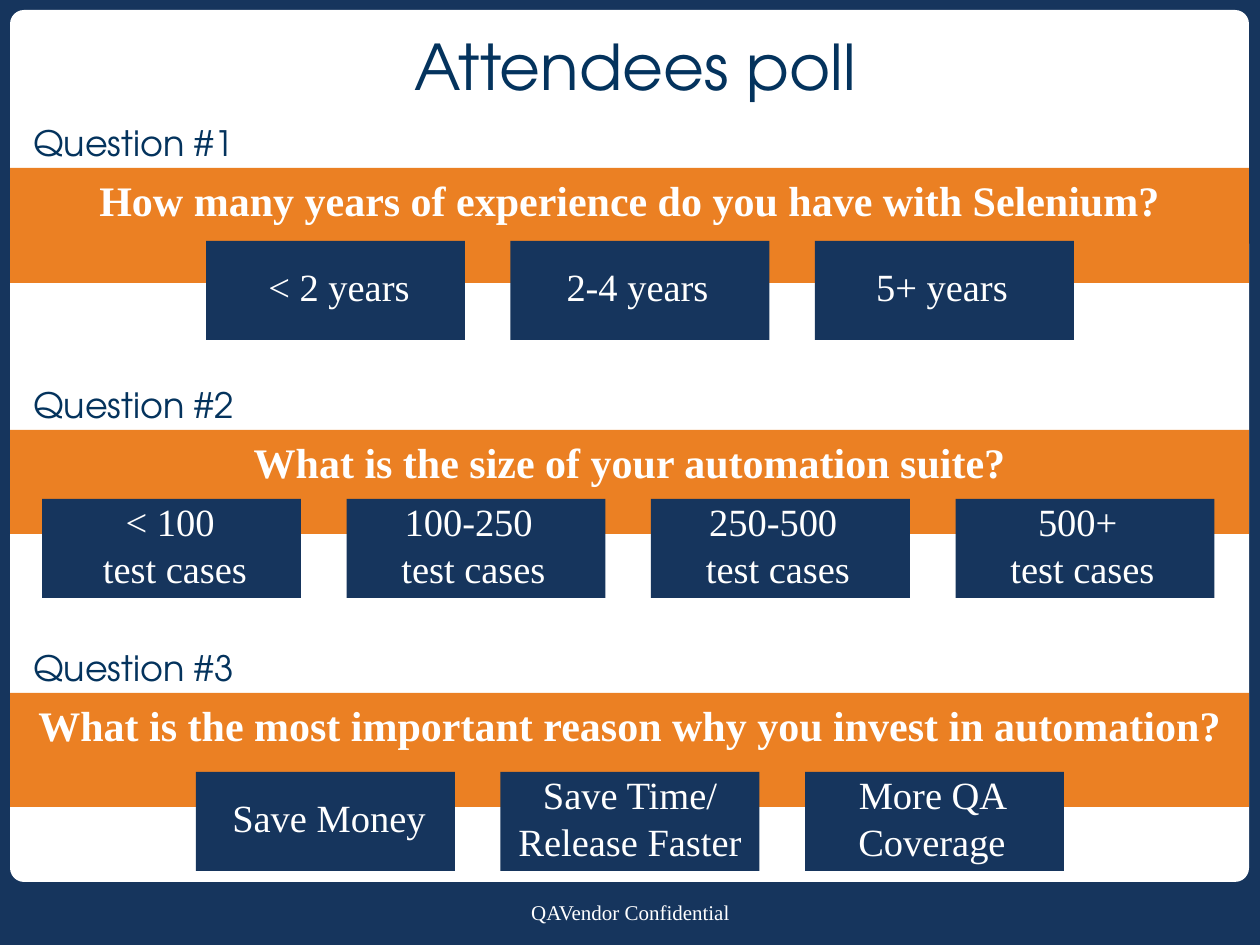
"""Build the attendees poll slide with three questions and their answer cards."""
from pptx import Presentation
from pptx.dml.color import RGBColor
from pptx.enum.shapes import MSO_SHAPE
from pptx.enum.text import MSO_ANCHOR, MSO_AUTO_SIZE, PP_ALIGN
from pptx.util import Emu, Pt

EMU_PER_PX = 914400 / 126
RECTANGLE, ROUNDED = MSO_SHAPE.RECTANGLE, MSO_SHAPE.ROUNDED_RECTANGLE
TOP, MIDDLE = MSO_ANCHOR.TOP, MSO_ANCHOR.MIDDLE
LEFT, CENTER = PP_ALIGN.LEFT, PP_ALIGN.CENTER
FIXED_SIZE = MSO_AUTO_SIZE.NONE
TITLE_ONLY = 5

COLORS = {"navy": "16355D", "ink": "04335D", "orange": "EB8023", "white": "FFFFFF"}
SANS, SERIF = "TeX Gyre Adventor", "Times New Roman"

PANEL_LEFT, PANEL_WIDTH = 10, 1239
CARD_WIDTH, CARD_HEIGHT, CARD_GAP = 259, 99, 45.5
LABEL_WIDTH = 226
ONE_LINE_HEIGHT, TWO_LINE_HEIGHT = 59, 106
LABEL_RISE = 4

QUESTIONS = [
    {
        "text": "How many years of experience do you have with Selenium?",
        "band": (168, 115),
        "cards": (206, 241),
        "answers": ["< 2 years", "2-4 years", "5+ years"],
    },
    {
        "text": "What is the size of your automation suite?",
        "band": (430, 104),
        "cards": (42, 499),
        "answers": [f"{size} \ntest cases" for size in ("< 100", "100-250", "250-500", "500+")],
    },
    {
        "text": "What is the most important reason why you invest in automation?",
        "band": (693, 114),
        "cards": (196, 772),
        "answers": ["Save Money", "Save Time/ Release Faster", "More QA Coverage"],
    },
]


def px(length):
    """Turn pixels into EMU."""
    return Emu(round(length * EMU_PER_PX))


def write_text(box, text, *, size, font=SERIF, color="white", bold=False, align=CENTER, anchor=MIDDLE):
    """Fill a box with formatted text, one paragraph per line."""
    frame = box.text_frame
    frame.text = text
    frame.word_wrap = True
    frame.auto_size = FIXED_SIZE
    frame.vertical_anchor = anchor
    for para in frame.paragraphs:
        para.alignment = align
        for span in para.runs:
            span.font.name = font
            span.font.size = Pt(size)
            span.font.bold = bold
            span.font.color.rgb = RGBColor.from_string(COLORS[color])


class PollSlide:
    """Holds the current page and draws its elements in one style."""

    def __init__(self, page):
        """Keep the page to draw on."""
        self.page = page

    def block(self, left, top, width, height, color, shape=RECTANGLE):
        """Add a plain filled shape."""
        box = self.page.shapes.add_shape(shape, px(left), px(top), px(width), px(height))
        box.shadow.inherit = False
        box.fill.solid()
        box.fill.fore_color.rgb = RGBColor.from_string(COLORS[color])
        box.line.fill.background()
        return box

    def label(self, left, top, width, height, text, **style):
        """Add a text box."""
        box = self.page.shapes.add_textbox(px(left), px(top), px(width), px(height))
        write_text(box, text, **style)

    def title(self, left, top, width, height, text, **style):
        """Place the title placeholder in front of the shapes drawn so far."""
        box = self.page.shapes.title
        box.left, box.top, box.width, box.height = px(left), px(top), px(width), px(height)
        write_text(box, text, **style)
        self.page.shapes._spTree.append(box._element)

    def frame(self):
        """Draw the navy surround, the white panel and the footer."""
        self.block(0, 0, 1260, 945, "navy")
        panel = self.block(PANEL_LEFT, 10, PANEL_WIDTH, 872, "white", ROUNDED)
        panel.adjustments[0] = 0.016
        self.label(431, 882, 399, 60, "QAVendor Confidential", size=12)

    def card(self, left, top, answer, is_first):
        """Draw an answer card with its label."""
        self.block(left, top, CARD_WIDTH, CARD_HEIGHT, "navy")
        height = TWO_LINE_HEIGHT if len(answer) > 10 else ONE_LINE_HEIGHT
        is_wide = max(map(len, answer.split("\n"))) > 20
        width = CARD_WIDTH if is_wide else LABEL_WIDTH
        indent = 0 if is_wide else 20 if is_first else 14
        label_top = top + (CARD_HEIGHT - height) / 2 - LABEL_RISE
        self.label(left + indent, label_top, width, height, answer, size=22)

    def question(self, number, text, band, cards, answers):
        """Draw a heading, its question band and a row of answer cards."""
        band_top, band_height = band
        self.label(21, band_top - 73, 1219, 95, f"Question #{number}",
                   size=20, font=SANS, color="ink", align=LEFT)
        box = self.block(PANEL_LEFT, band_top, PANEL_WIDTH, band_height, "orange")
        write_text(box, text, size=24, bold=True, anchor=TOP)
        first_left, card_top = cards
        for index, answer in enumerate(answers):
            self.card(first_left + index * (CARD_WIDTH + CARD_GAP), card_top, answer, index == 0)


def main():
    """Create the deck and save it."""
    deck = Presentation()
    deck.slide_width, deck.slide_height = px(1260), px(945)
    slide = PollSlide(deck.slides.add_slide(deck.slide_layouts[TITLE_ONLY]))
    slide.frame()
    slide.title(63, 21, 1144, 105, "Attendees poll", size=36, font=SANS, color="ink", anchor=TOP)
    for number, question in enumerate(QUESTIONS, start=1):
        slide.question(number, **question)
    deck.save("out.pptx")


if __name__ == "__main__":
    main()
